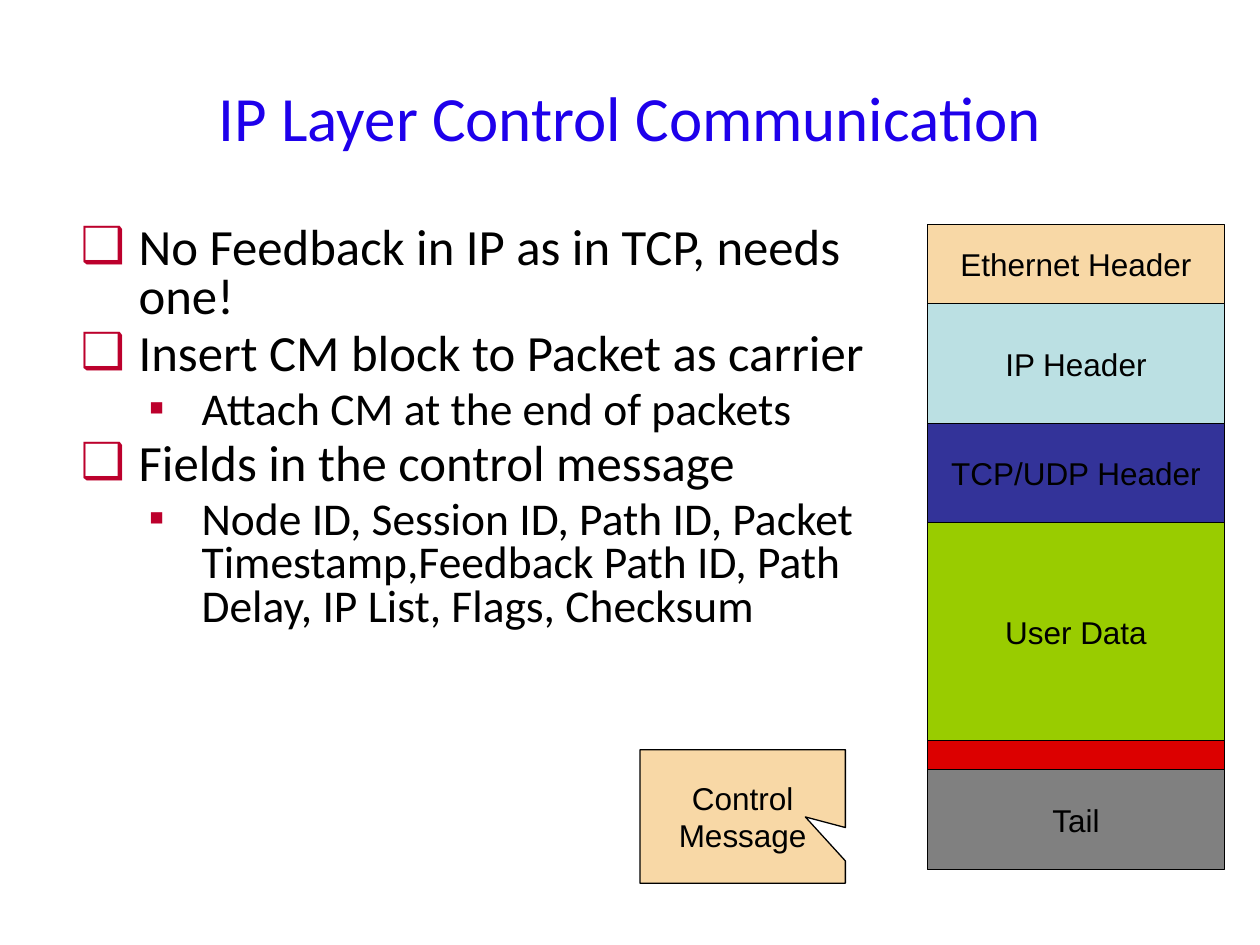
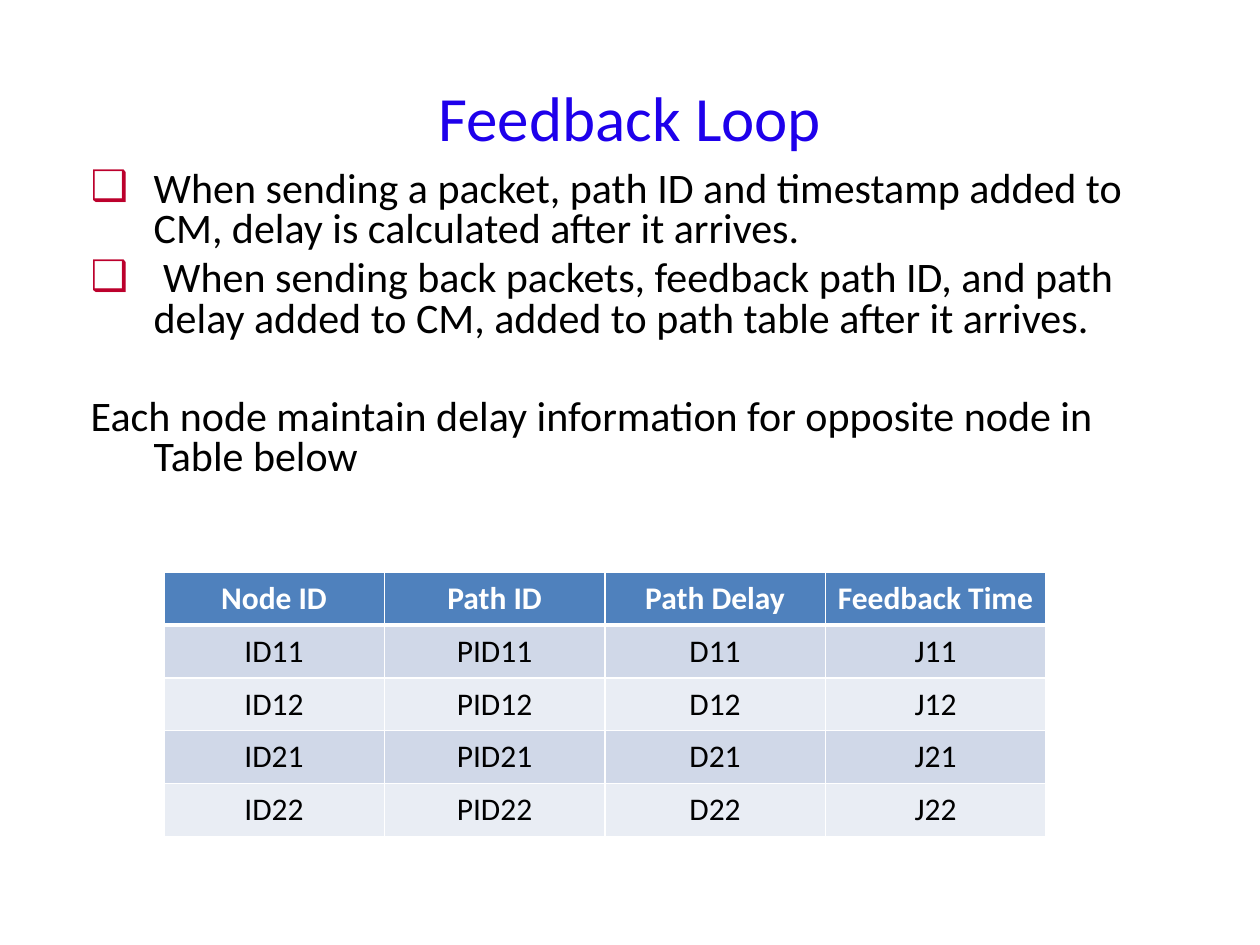
from dataclasses import dataclass

from lxml import etree
from pptx import Presentation
from pptx.dml.color import RGBColor
from pptx.enum.shapes import MSO_SHAPE
from pptx.enum.text import MSO_ANCHOR, MSO_AUTO_SIZE, PP_ALIGN
from pptx.oxml.ns import qn
from pptx.util import Inches, Pt

RECTANGLE = MSO_SHAPE.RECTANGLE
CALLOUT = MSO_SHAPE.ROUNDED_RECTANGULAR_CALLOUT
MIDDLE, TOP = MSO_ANCHOR.MIDDLE, MSO_ANCHOR.TOP
CENTER, LEFT = PP_ALIGN.CENTER, PP_ALIGN.LEFT
NO_AUTOFIT = MSO_AUTO_SIZE.NONE

COLORS = {
    "title": "1E00EB", "text": "000000", "bullet": "BC002C", "white": "FFFFFF",
    "sand": "F8D8A6", "ice": "BBE0E3", "navy": "333399", "green": "99CC00",
    "red": "DC0000", "gray": "808080",
    "table_head": "4F81BD", "row_odd": "D0D8E8", "row_even": "E9EDF4",
}
TEXT_FONT, BLOCK_FONT = "Calibri", "Arial"
TITLE_BOX = (0.5, 0.3, 9, 1.25)


@dataclass
class ListStyle:
    size: float
    margin: float
    hanging: float
    bullet: str
    bullet_percent: int = 100
    level: int = 0


@dataclass
class ListItem:
    text: str
    style: ListStyle
    space_before: float = 5


@dataclass
class PacketBlock:
    label: str
    height: float
    color: str


# Slide 1 content
TOPIC = ListStyle(29, 0.5, 0.46, "❑", 98)
DETAIL = ListStyle(26, 1, 0.42, "▪", level=1)
CONTROL_ITEMS = [
    ListItem("No Feedback in IP as in TCP, needs one!", TOPIC, 0),
    ListItem("Insert CM block to Packet as carrier", TOPIC),
    ListItem("Attach CM at the end of packets", DETAIL),
    ListItem("Fields in the control message", TOPIC),
    ListItem("Node ID, Session ID, Path ID, Packet Timestamp,Feedback Path ID, "
             "Path Delay, IP List, Flags, Checksum", DETAIL),
]
PACKET_LEFT, PACKET_TOP, PACKET_WIDTH = 7.36, 1.78, 2.36
PACKET = [
    PacketBlock("Ethernet Header", 0.63, "sand"),
    PacketBlock("IP Header", 0.95, "ice"),
    PacketBlock("TCP/UDP Header", 0.79, "navy"),
    PacketBlock("User Data", 1.73, "green"),
    PacketBlock("", 0.23, "red"),
    PacketBlock("Tail", 0.79, "gray"),
]

# Slide 2 content
STEP = ListStyle(24, 0.62, 0.5, "❑")
REMARK = ListStyle(24, 0.62, 0.5, "")
LOOP_ITEMS = [
    ListItem("When sending a packet, path ID and timestamp added to CM, "
             "delay is calculated after it arrives.", STEP, 0),
    ListItem(" When sending back packets, feedback path ID, and path delay "
             "added to CM, added to path table after it arrives.", STEP),
    ListItem("Each node maintain delay information for opposite node in "
             "Table below", REMARK, 33),
]
DELAY_HEADER = ["Node ID", "Path ID", "Path Delay", "Feedback Time"]
DELAY_PREFIXES = ["ID", "PID", "D", "J"]
DELAY_NODES = [11, 12, 21, 22]
COLUMN_WIDTH, ROW_HEIGHT = 1.75, 0.42


def rgb(color: str) -> RGBColor:
    return RGBColor.from_string(COLORS[color])


def place(shape, box: tuple) -> None:
    for side, length in zip(("left", "top", "width", "height"), box):
        setattr(shape, side, Inches(length))


def format_text(paragraph, font: str, size: float, color: str = "text",
                align=CENTER, bold: bool = False) -> None:
    paragraph.alignment = align
    for name, value in {"name": font, "size": Pt(size), "bold": bold}.items():
        setattr(paragraph.font, name, value)
    paragraph.font.color.rgb = rgb(color)


def set_frame(frame, anchor) -> None:
    settings = {"word_wrap": True, "auto_size": NO_AUTOFIT, "vertical_anchor": anchor}
    for name, value in settings.items():
        setattr(frame, name, value)


def add_xml(parent, tag: str, **attributes: str):
    return etree.SubElement(parent, qn(tag), attributes)


def format_item(paragraph, item: ListItem) -> None:
    style = item.style
    paragraph.text = item.text
    format_text(paragraph, TEXT_FONT, style.size, align=LEFT)
    paragraph.level = style.level
    paragraph.line_spacing = 0.8
    paragraph.space_before = Pt(item.space_before)
    properties = paragraph._p.get_or_add_pPr()
    properties.set("marL", str(Inches(style.margin)))
    properties.set("indent", str(-Inches(style.hanging)))
    if not style.bullet:
        add_xml(properties, "a:buNone")
        return
    add_xml(add_xml(properties, "a:buClr"), "a:srgbClr", val=COLORS["bullet"])
    add_xml(properties, "a:buSzPct", val=str(style.bullet_percent * 1000))
    add_xml(properties, "a:buFont", typeface=BLOCK_FONT)
    add_xml(properties, "a:buChar", char=style.bullet)


def add_list_slide(deck, title: str, items: list[ListItem], list_box: tuple):
    """Add a slide with the shared title style and a bulleted list."""
    slide = deck.slides.add_slide(deck.slide_layouts[1])
    heading, body = slide.placeholders
    place(heading, TITLE_BOX)
    set_frame(heading.text_frame, MIDDLE)
    heading.text_frame.text = title
    format_text(heading.text_frame.paragraphs[0], TEXT_FONT, 36, "title")

    place(body, list_box)
    frame = body.text_frame
    set_frame(frame, TOP)
    for index, item in enumerate(items):
        format_item(frame.add_paragraph() if index else frame.paragraphs[0], item)
    return slide


def add_block(slide, kind, box: tuple, color: str, label: str):
    block = slide.shapes.add_shape(kind, *map(Inches, box))
    block.shadow.inherit = False
    block.fill.solid()
    block.fill.fore_color.rgb = rgb(color)
    block.line.color.rgb = rgb("text")
    block.line.width = Pt(0.75)
    set_frame(block.text_frame, MIDDLE)
    block.text_frame.text = label
    for paragraph in block.text_frame.paragraphs:
        format_text(paragraph, BLOCK_FONT, 18)
    return block


def add_packet(slide) -> None:
    top = PACKET_TOP
    for block in PACKET:
        add_block(slide, RECTANGLE, (PACKET_LEFT, top, PACKET_WIDTH, block.height),
                  block.color, block.label)
        top += block.height


def add_border(cell, side: str, points: float) -> None:
    line = add_xml(cell._tc.get_or_add_tcPr(), f"a:ln{side}", w=str(Pt(points)))
    add_xml(add_xml(line, "a:solidFill"), "a:srgbClr", val=COLORS["white"])


def format_cell(cell, text: str, row: int) -> None:
    is_header = row == 0
    borders = {"L": 1, "R": 1, "T": 3 if row == 1 else 1, "B": 3 if is_header else 1}
    for side, points in borders.items():
        add_border(cell, side, points)
    for side in ("left", "right", "top", "bottom"):
        setattr(cell, f"margin_{side}", 0)
    cell.vertical_anchor = MIDDLE
    cell.fill.solid()
    band = "row_odd" if row % 2 else "row_even"
    cell.fill.fore_color.rgb = rgb("table_head" if is_header else band)
    cell.text = text
    format_text(cell.text_frame.paragraphs[0], TEXT_FONT, 18,
                "white" if is_header else "text", bold=is_header)


def add_delay_table(slide, left: float, top: float) -> None:
    rows = [DELAY_HEADER] + [[f"{prefix}{node}" for prefix in DELAY_PREFIXES]
                             for node in DELAY_NODES]
    width, height = COLUMN_WIDTH * len(DELAY_HEADER), ROW_HEIGHT * len(rows)
    table = slide.shapes.add_table(len(rows), len(DELAY_HEADER),
                                   *map(Inches, (left, top, width, height))).table
    for row, texts in enumerate(rows):
        for column, text in enumerate(texts):
            format_cell(table.cell(row, column), text, row)


def main() -> None:
    deck = Presentation()
    deck.slide_width, deck.slide_height = Inches(10), Inches(7.5)

    # Slide 1: packet layout with the control message
    control = add_list_slide(deck, "IP Layer Control Communication",
                             CONTROL_ITEMS, (0.5, 1.75, 6.47, 3.81))
    add_packet(control)
    message = add_block(control, CALLOUT, (5.08, 5.95, 1.63, 1.06),
                        "sand", "Control\nMessage")
    for index, value in enumerate((0.305, 0.004, 0)):
        message.adjustments[index] = value

    # Slide 2: feedback steps and the delay table
    loop = add_list_slide(deck, "Feedback Loop", LOOP_ITEMS, (0.5, 1.31, 9, 2.59))
    add_delay_table(loop, 1.3, 4.54)

    deck.save("out.pptx")


if __name__ == "__main__":
    main()
